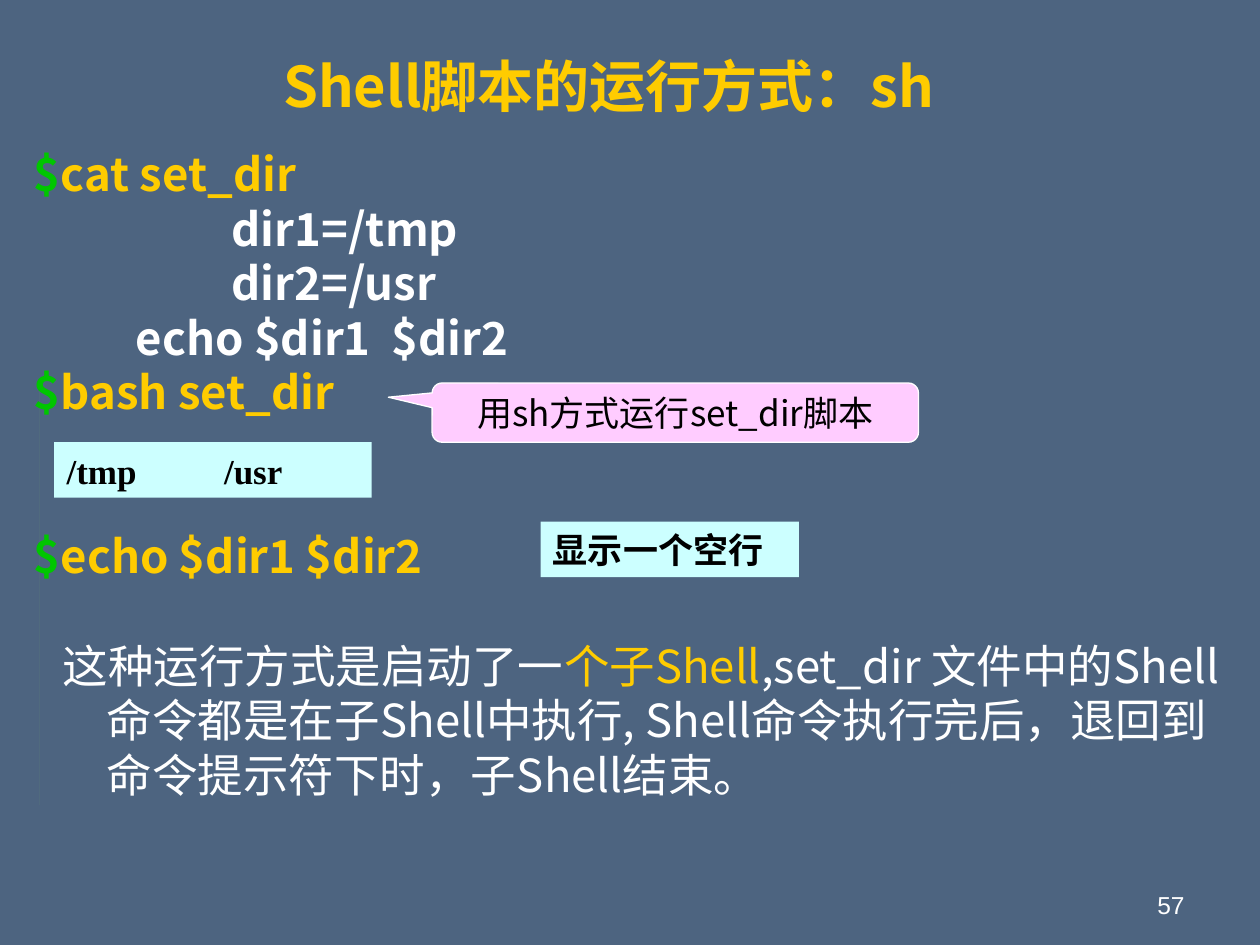
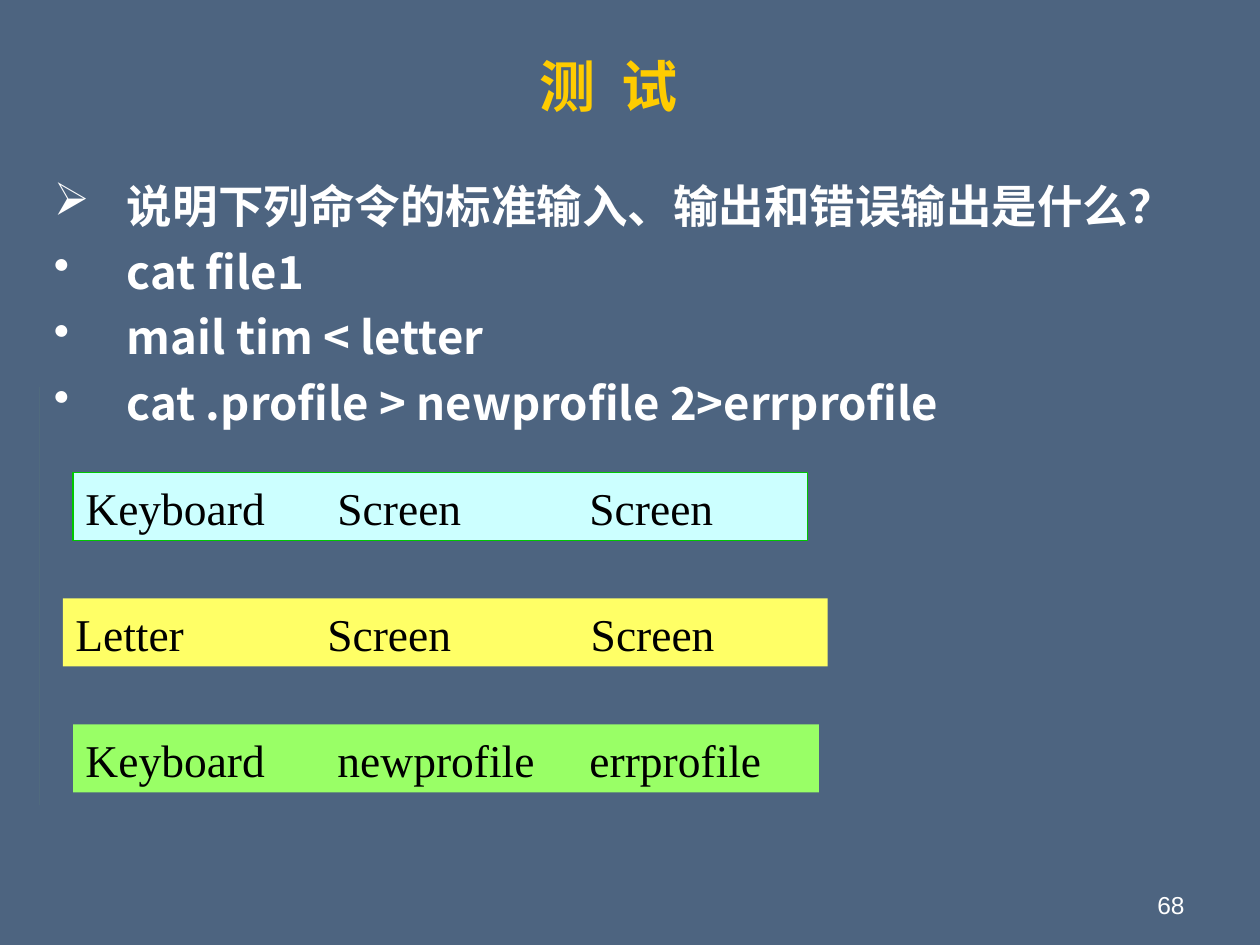
from dataclasses import dataclass

from lxml.etree import SubElement
from pptx import Presentation
from pptx.dml.color import RGBColor
from pptx.enum.shapes import MSO_CONNECTOR, MSO_SHAPE
from pptx.enum.text import MSO_ANCHOR, PP_ALIGN
from pptx.oxml.ns import qn
from pptx.util import Inches, Pt


@dataclass(frozen=True)
class Theme:
    """Colours, fonts and type sizes shared by the slides."""
    background: str = "4D6480"
    side_rule: str = "506A7E"
    gold: str = "FFCC00"
    green: str = "00C600"
    white: str = "FFFFFF"
    black: str = "000000"
    cyan: str = "CCFFFF"
    pink: str = "FFCCFF"
    yellow: str = "FFFF66"
    lime: str = "99FF66"
    sans: str = "Noto Sans CJK SC"
    serif: str = "Times New Roman"
    number_font: str = "Arial"
    title_size: float = 32
    body_size: float = 26
    note_size: float = 20
    number_size: float = 14
    body_leading: float = 31.2


THEME = Theme()


def colour(value):
    """Turn a hex string into a colour."""
    return RGBColor.from_string(value)


def style(paragraph, size, color=THEME.white, name=THEME.sans, bold=False):
    """Set the font of a whole paragraph, for Latin and Chinese text."""
    font = paragraph.font
    font.size, font.bold, font.name = Pt(size), bold, name
    font.color.rgb = colour(color)
    properties = paragraph._p.get_or_add_pPr().find(qn("a:defRPr"))
    SubElement(properties, qn("a:ea"), typeface=THEME.sans)


def indent(paragraph, left, first=0):
    """Set the left margin and first-line indent in inches."""
    properties = paragraph._p.get_or_add_pPr()
    properties.set("marL", str(Inches(left)))
    properties.set("indent", str(Inches(first)))


def add_bullet(paragraph, symbol):
    """Give a paragraph a white bullet."""
    properties = paragraph._p.get_or_add_pPr()
    bullet_colour = SubElement(properties, qn("a:buClr"))
    SubElement(bullet_colour, qn("a:srgbClr"), val=THEME.white)
    SubElement(properties, qn("a:buChar"), char=symbol)


def add_tabs(paragraph, stops):
    """Add left tab stops, given in inches."""
    tab_list = SubElement(paragraph._p.get_or_add_pPr(), qn("a:tabLst"))
    for stop in stops:
        SubElement(tab_list, qn("a:tab"), pos=str(Inches(stop)), algn="l")


def add_spans(paragraph, spans):
    """Add runs that differ in colour."""
    for text, color in spans:
        span = paragraph.add_run()
        span.text = text
        span.font.color.rgb = colour(color)


def add_text_box(page, area, anchor=MSO_ANCHOR.TOP):
    """Add a wrapping text box and return its text frame."""
    frame = page.shapes.add_textbox(*map(Inches, area)).text_frame
    frame.word_wrap = True
    frame.vertical_anchor = anchor
    return frame


def next_paragraph(frame, position):
    """Return the first paragraph of a frame or a new one after it."""
    return frame.add_paragraph() if position else frame.paragraphs[0]


def add_panel(page, area, fill, line=None, kind=MSO_SHAPE.RECTANGLE):
    """Add a flat filled shape with an optional outline."""
    box = page.shapes.add_shape(kind, *map(Inches, area))
    box.shadow.inherit = False
    box.fill.solid()
    box.fill.fore_color.rgb = colour(fill)
    if line:
        box.line.color.rgb = colour(line)
        box.line.width = Pt(0.75)
    else:
        box.line.fill.background()
    box.text_frame.word_wrap = True
    return box


def add_answer(page, area, text, fill, size, stops=(), bold=False, line=None):
    """Add a coloured bar with tab-separated answers."""
    frame = add_panel(page, area, fill, line).text_frame
    frame.vertical_anchor = MSO_ANCHOR.BOTTOM
    paragraph = frame.paragraphs[0]
    paragraph.text = text
    paragraph.alignment = PP_ALIGN.LEFT
    add_tabs(paragraph, stops)
    style(paragraph, size, THEME.black, THEME.serif, bold)


def add_callout(page, area, text):
    """Add a rounded callout pointing to the left."""
    box = add_panel(page, area, THEME.pink, THEME.white,
                    MSO_SHAPE.ROUNDED_RECTANGULAR_CALLOUT)
    for position, value in enumerate((-0.59, -0.26, 0.17)):
        box.adjustments[position] = value
    box.text_frame.vertical_anchor = MSO_ANCHOR.MIDDLE
    paragraph = box.text_frame.paragraphs[0]
    paragraph.text = text
    paragraph.alignment = PP_ALIGN.CENTER
    style(paragraph, THEME.note_size, THEME.black)


def add_page(deck, title, number):
    """Add a slide with background, side rule, title and page number."""
    page = deck.slides.add_slide(deck.slide_layouts[6])
    page.background.fill.solid()
    page.background.fill.fore_color.rgb = colour(THEME.background)
    rule = page.shapes.add_connector(
        MSO_CONNECTOR.STRAIGHT, *map(Inches, (0.31, 3.07, 0.31, 6.39)))
    rule.line.color.rgb = colour(THEME.side_rule)
    rule.line.width = Pt(0.25)
    SubElement(rule._element.spPr, qn("a:effectLst"))

    heading = add_text_box(page, (0.58, 0.36, 8.5, 0.63), MSO_ANCHOR.MIDDLE).paragraphs[0]
    heading.text = title
    heading.alignment = PP_ALIGN.CENTER
    style(heading, THEME.title_size, THEME.gold, bold=True)

    footer = add_text_box(page, (7.17, 6.83, 2.33, 0.52), MSO_ANCHOR.BOTTOM).paragraphs[0]
    footer.text = str(number)
    footer.alignment = PP_ALIGN.RIGHT
    style(footer, THEME.number_size, name=THEME.number_font)
    return page


def add_session(page):
    """Add the shell session and the explanation below it."""
    def command(text):
        return [("$", THEME.green), (text, THEME.gold)]

    def script_line(text):
        return [(text, THEME.white)]

    explanation = [
        ("这种运行方式是启动了一", THEME.white),
        ("个子Shell", THEME.gold),
        (",set_dir 文件中的Shell命令都是在子Shell中执行, Shell命令执行完后，"
         "退回到命令提示符下时，子Shell结束。", THEME.white),
    ]
    lines = [
        (command("cat set_dir"), 0, 0, 0, True),
        (script_line("dir1=/tmp"), 1.57, 0, 0, True),
        (script_line("dir2=/usr"), 1.57, 0, 0, True),
        (script_line("echo $dir1  $dir2"), 0.81, 0, 0, True),
        (command("bash set_dir"), 0, 0, 0, True),
        (command("echo $dir1 $dir2"), 0, 0, 2, True),
        (explanation, 0.58, -0.35, 1, False),
    ]
    frame = add_text_box(page, (0.17, 1.11, 9.67, 6.17))
    for position, (spans, left, first, skipped, bold) in enumerate(lines):
        paragraph = next_paragraph(frame, position)
        add_spans(paragraph, spans)
        indent(paragraph, left, first)
        paragraph.line_spacing = Pt(THEME.body_leading)
        if skipped:
            paragraph.space_before = Pt(skipped * THEME.body_leading)
        style(paragraph, THEME.body_size, bold=bold)


def add_questions(page, questions):
    """Add the bulleted list of test questions."""
    frame = add_text_box(page, (0.33, 1.36, 9.33, 2.33))
    for position, (symbol, text) in enumerate(questions):
        paragraph = next_paragraph(frame, position)
        paragraph.text = text
        indent(paragraph, 0.58, -0.58)
        paragraph.line_spacing = Pt(THEME.body_leading)
        if position:
            paragraph.space_before = Pt(6.5)
        add_bullet(paragraph, symbol)
        style(paragraph, THEME.body_size, bold=True)


def build_run_slide(deck):
    """Build the slide on running a script with sh."""
    page = add_page(deck, "Shell脚本的运行方式：sh", 57)
    add_session(page)
    add_answer(page, (0.43, 3.51, 2.52, 0.44), "/tmp\t/usr", THEME.cyan,
               THEME.note_size, (1.25,), bold=True)
    add_answer(page, (4.29, 4.14, 2.05, 0.44), "显示一个空行", THEME.cyan,
               THEME.note_size, bold=True)
    add_callout(page, (3.43, 3.04, 3.86, 0.47), "用sh方式运行set_dir脚本")


def build_test_slide(deck):
    """Build the test slide with its three answer bars."""
    page = add_page(deck, "测  试", 68)
    add_questions(page, [
        ("➢", "说明下列命令的标准输入、输出和错误输出是什么？"),
        ("•", "cat file1"),
        ("•", "mail tim < letter"),
        ("•", "cat .profile > newprofile 2>errprofile"),
    ])
    answers = [
        (0.58, 5.83, "Keyboard\tScreen\tScreen", THEME.cyan, 4, THEME.green),
        (0.5, 6.07, "Letter\tScreen\tScreen", THEME.yellow, 4.09, None),
        (0.58, 5.92, "Keyboard\tnewprofile\terrprofile", THEME.lime, 4, None),
    ]
    for row, (left, width, text, fill, last_stop, line) in enumerate(answers):
        add_answer(page, (left, 3.75 + row, width, 0.54), text, fill,
                   THEME.body_size, (2, last_stop), line=line)


def main():
    """Build the deck and save it."""
    deck = Presentation()
    deck.slide_width, deck.slide_height = Inches(10), Inches(7.5)
    build_run_slide(deck)
    build_test_slide(deck)
    deck.save("out.pptx")


if __name__ == "__main__":
    main()
